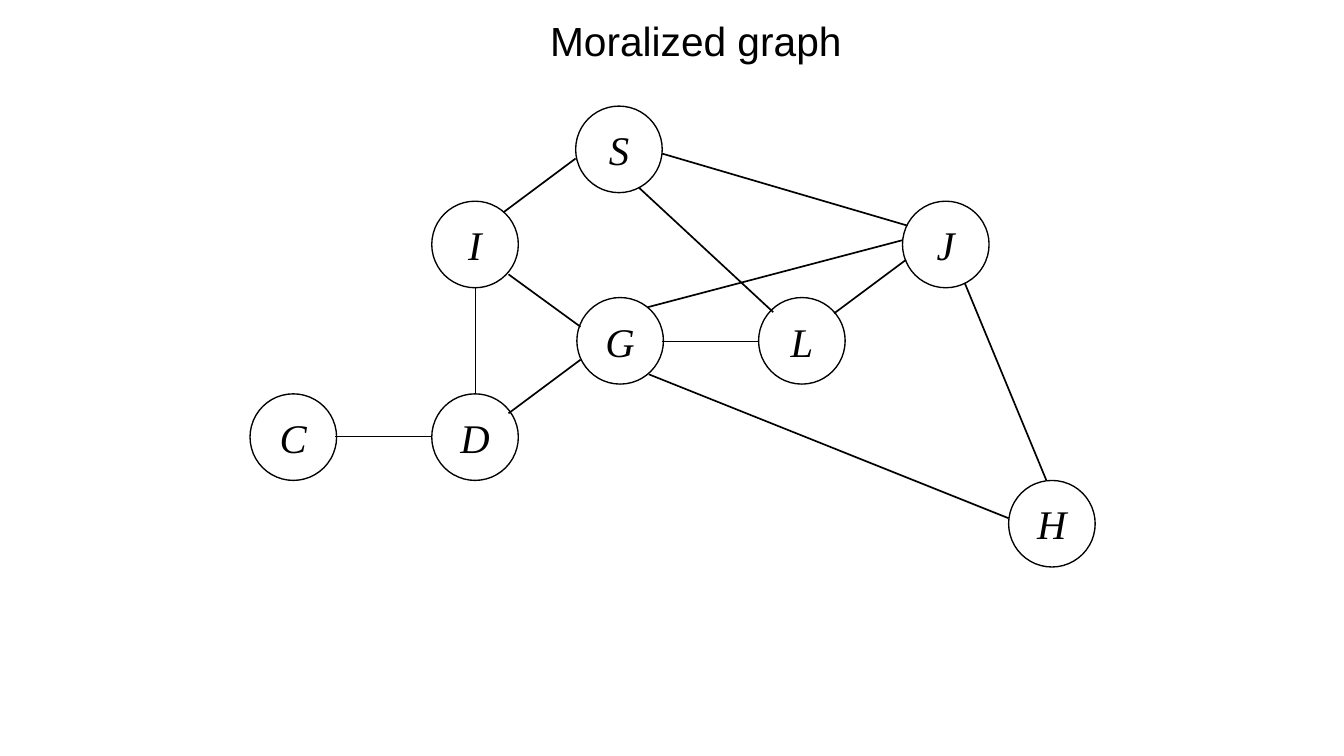
import pptx
import pptx.dml.color
import pptx.enum.shapes
import pptx.enum.text
import pptx.oxml
import pptx.util
from pptx.util import Inches

THEME = {
    "ink": pptx.dml.color.RGBColor.from_string("000000"),
    "title_font": "Arial",
    "node_font": "Times New Roman",
    "text_size": pptx.util.Pt(24),
    "node_line": pptx.util.Pt(0.79),
    "edge_line": pptx.util.Pt(1),
}


def write_text(shape, text, *, font, italic=False, wrap=False, margins=(0, 0)):
    frame = shape.text_frame
    frame.word_wrap = wrap
    frame.vertical_anchor = pptx.enum.text.MSO_ANCHOR.MIDDLE
    frame.margin_left = frame.margin_right = Inches(margins[0])
    frame.margin_top = frame.margin_bottom = Inches(margins[1])
    para = frame.paragraphs[0]
    para.alignment = pptx.enum.text.PP_ALIGN.CENTER
    span = para.add_run()
    span.text = text
    span.font.name = font
    span.font.size = THEME["text_size"]
    span.font.italic = italic
    span.font.color.rgb = THEME["ink"]


deck = pptx.Presentation()
deck.slide_width = Inches(11.02)
deck.slide_height = Inches(6.2)
page = deck.slides.add_slide(deck.slide_layouts[6])

title = page.shapes.add_textbox(Inches(2.36), Inches(0.08), Inches(6.69), Inches(0.5))
write_text(title, "Moralized graph", font=THEME["title_font"], wrap=True)

DIAMETER = 0.71
ROWS = [0.87, 1.65, 2.44, 3.23, 3.94]
nodes = {
    "C": (2.05, ROWS[3]),
    "D": (3.54, ROWS[3]),
    "I": (3.54, ROWS[1]),
    "G": (4.73, ROWS[2]),
    "S": (4.72, ROWS[0]),
    "L": (6.22, ROWS[2]),
    "J": (7.4, ROWS[1]),
    "H": (8.27, ROWS[4]),
}
for letter, (left, top) in nodes.items():
    node = page.shapes.add_shape(
        pptx.enum.shapes.MSO_SHAPE.OVAL,
        Inches(left), Inches(top), Inches(DIAMETER), Inches(DIAMETER),
    )
    node.shadow.inherit = False
    node.fill.background()
    node.line.color.rgb = THEME["ink"]
    node.line.width = THEME["node_line"]
    write_text(node, letter, font=THEME["node_font"], italic=True, margins=(0.1, 0.05))

edges = {
    "C-D": ((2.75, 3.58), (3.54, 3.58)),
    "D-I": ((3.9, 3.23), (3.9, 2.36)),
    "D-G": ((4.17, 3.39), (4.76, 2.95)),
    "I-G": ((4.17, 2.25), (4.76, 2.68)),
    "I-S": ((4.13, 1.74), (4.72, 1.3)),
    "S-J": ((5.43, 1.26), (7.44, 1.85)),
    "S-L": ((5.24, 1.54), (6.34, 2.56)),
    "G-L": ((5.43, 2.8), (6.22, 2.8)),
    "G-J": ((5.31, 2.52), (7.4, 1.97)),
    "L-J": ((6.84, 2.57), (7.43, 2.13)),
    "J-H": ((7.91, 2.32), (8.58, 3.94)),
    "G-H": ((5.32, 3.07), (8.27, 4.25)),
}
for start, end in edges.values():
    edge = page.shapes.add_connector(
        pptx.enum.shapes.MSO_CONNECTOR.STRAIGHT,
        *(Inches(length) for length in start + end),
    )
    edge.line.color.rgb = THEME["ink"]
    edge.line.width = THEME["edge_line"]
    properties = edge._element.spPr
    properties.append(pptx.oxml.xmlchemy.OxmlElement("a:effectLst"))

deck.save("out.pptx")
